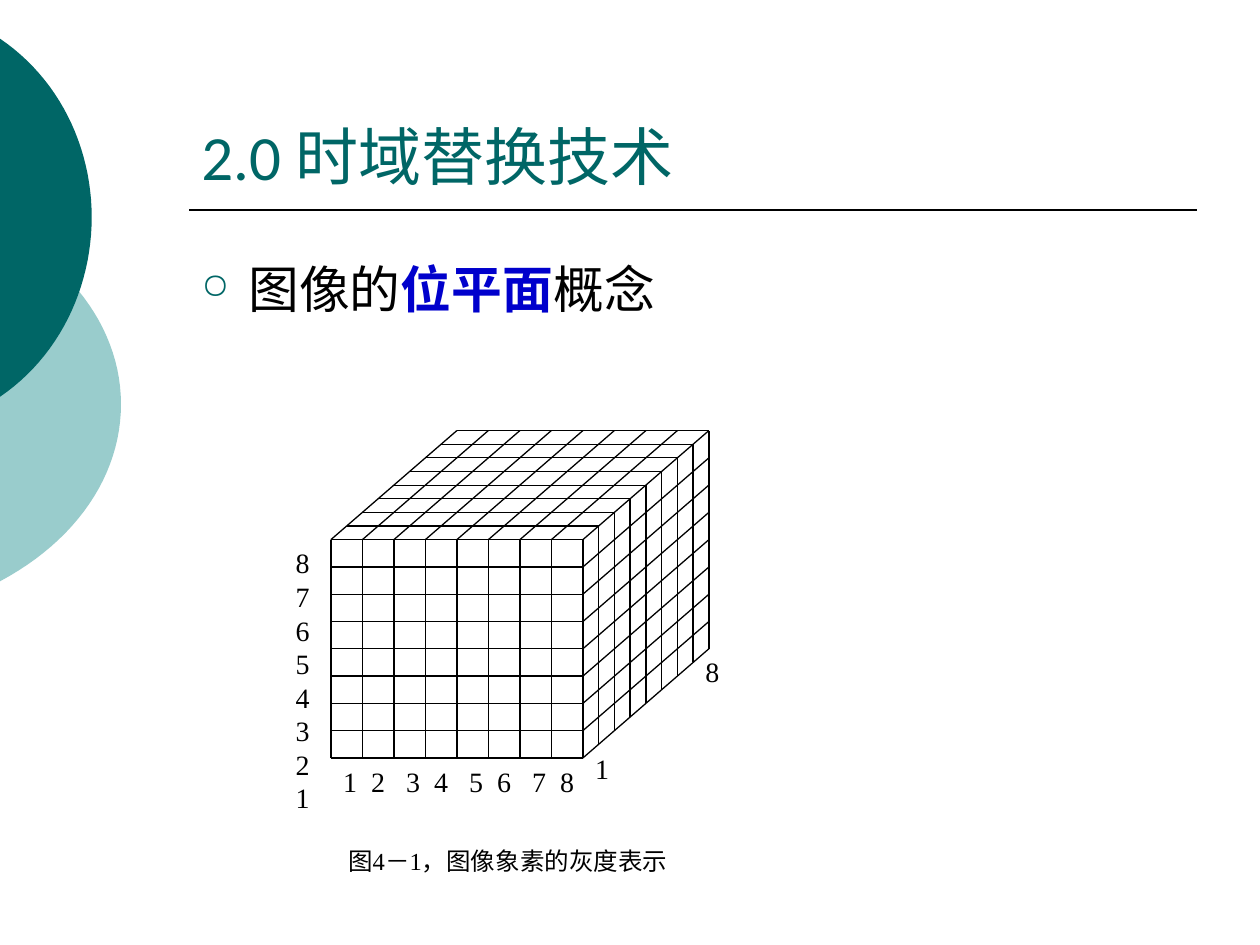
"""Build the bit-plane slide with its pixel cube."""
from lxml.etree import SubElement as Sub
from pptx import Presentation as Deck
from pptx.dml.color import RGBColor as Rgb
from pptx.enum.shapes import MSO_CONNECTOR as Link
from pptx.enum.text import MSO_ANCHOR as Anchor, PP_ALIGN as Align
from pptx.oxml.ns import qn
from pptx.util import Cm, Pt

TEAL, BLACK, BLUE, PALE = "006666", "000000", "0000CC", "99CCCC"
SERIF = "Times New Roman"
HEAD = {"size": Pt(36), "name": "Calibri"}
BODY = {"size": Pt(29), "name": SERIF}
MARK = {"size": Pt(16), "name": SERIF}
NOTE = {"size": Pt(14), "name": SERIF}
BOLD = {**BODY, "bold": True}
SIDE = {"alignment": Align.JUSTIFY}
STACK = {**SIDE, "line_spacing": Pt(19.2)}
N = 8
DIGITS = [str(i + 1) for i in range(N)]
STOPS = [1.27 * (i // 2) + 0.56 * (i % 2) for i in range(1, N)]

TEXTS = {
    "title": ((3.81, 0.84, 20.32, 3.18), [[("2.0 时域替换技术", HEAD, TEAL)]], {}),
    "body": ((3.81, 5.08, 20.32, 11.43),
             [[("图像的", BODY, BLACK), ("位平面", BOLD, BLUE), ("概念", BODY, BLACK)]], {}),
    "across": ((6.67, 15.28, 6.35, 0.84), [[("\t".join(DIGITS), MARK, BLACK)]], SIDE),
    "up": ((5.71, 10.88, 0.96, 4.95), [[(d, MARK, BLACK)] for d in DIGITS[::-1]], STACK),
    "near": ((11.75, 15.02, 0.96, 0.84), [[("1", MARK, BLACK)]], SIDE),
    "far": ((13.97, 13.08, 0.96, 0.84), [[("8", MARK, BLACK)]], SIDE),
    "caption": ((6.77, 16.94, 9.2, 0.82), [[("图4－1，图像象素的灰度表示", NOTE, BLACK)]], SIDE),
}
DISCS = [
    (PALE, [[(0, 4.6), (1.54, 5.41), (2.44, 6.73), (2.44, 8.15)],
            [(2.44, 8.15), (2.44, 9.58), (1.54, 10.9), (0, 11.72)]]),
    (TEAL, [[(0, 0.78), (1.18, 1.58), (1.85, 2.94), (1.85, 4.38)],
            [(1.85, 4.38), (1.85, 5.82), (1.18, 7.2), (0, 8)]]),
]
ACROSS, UP, BACK = (5.08, 0), (0, -4.4), (2.54, -2.2)


def move(spot, vec, part=1):
    return spot[0] + vec[0] * part, spot[1] + vec[1] * part


FRONT = (6.67, 15.28)
RIGHT, TOP = move(FRONT, ACROSS), move(FRONT, UP)
GRIDS = [
    (FRONT, ACROSS, UP, range(N + 1)),
    (FRONT, UP, ACROSS, range(N + 1)),
    (RIGHT, UP, BACK, range(N + 1)),
    (RIGHT, BACK, UP, range(1, N + 1)),
    (TOP, ACROSS, BACK, range(N)),
    (TOP, BACK, ACROSS, range(1, N + 1)),
]


def tint(code):
    return Rgb.from_string(code)


def apply(obj, form):
    for key, val in form.items():
        setattr(obj, key, val)


def curve(knots, steps=24):
    for i in range(steps + 1):
        t = i / steps
        mix = ((1 - t) ** 3, 3 * t * (1 - t) ** 2, 3 * t * t * (1 - t), t ** 3)
        yield tuple(Cm(sum(m * k[axis] for m, k in zip(mix, knots))) for axis in (0, 1))


def disc(shapes, code, arcs):
    dots = [dot for arc in arcs for dot in curve(arc)]
    pen = shapes.build_freeform(*dots[0], scale=1.0)
    pen.add_line_segments(dots[1:], close=True)
    shape = pen.convert_to_shape()
    shape.shadow.inherit = False
    shape.fill.solid()
    shape.fill.fore_color.rgb = tint(code)
    shape.line.fill.background()


def rule(shapes, start, end, width=0.75):
    line = shapes.add_connector(Link.STRAIGHT, *map(Cm, start + end))
    line.line.width = Pt(width)
    line.line.color.rgb = tint(BLACK)
    Sub(line._element.spPr, qn("a:effectLst"))


def write(shapes, box, paras, form):
    frame = shapes.add_textbox(*map(Cm, box)).text_frame
    frame.word_wrap = True
    for i, runs in enumerate(paras):
        para = frame.add_paragraph() if i else frame.paragraphs[0]
        apply(para, form)
        for text, font, code in runs:
            run = para.add_run()
            run.text = text
            apply(run.font, font)
            run.font.color.rgb = tint(code)
    return frame


def bullet(para):
    props = para._p.get_or_add_pPr()
    props.set("marL", str(Cm(0.95)))
    props.set("indent", str(Cm(-0.95)))
    Sub(Sub(props, qn("a:buClr")), qn("a:srgbClr"), val=TEAL)
    Sub(props, qn("a:buSzPct"), val="70000")
    Sub(props, qn("a:buChar"), char="○")


def tabs(para):
    group = Sub(para._p.get_or_add_pPr(), qn("a:tabLst"))
    for stop in STOPS:
        Sub(group, qn("a:tab"), pos=str(Cm(stop)), algn="l")


def main():
    deck = Deck()
    deck.slide_width, deck.slide_height = Cm(25.4), Cm(19.05)
    shapes = deck.slides.add_slide(deck.slide_layouts[6]).shapes
    for code, arcs in DISCS:
        disc(shapes, code, arcs)
    rule(shapes, (3.81, 4.24), (24.13, 4.24), 1)
    for base, step, run, span in GRIDS:
        for i in span:
            start = move(base, step, i / N)
            rule(shapes, start, move(start, run))
    frames = {name: write(shapes, *item) for name, item in TEXTS.items()}
    frames["title"].vertical_anchor = Anchor.BOTTOM
    bullet(frames["body"].paragraphs[0])
    tabs(frames["across"].paragraphs[0])
    deck.save("out.pptx")


if __name__ == "__main__":
    main()
